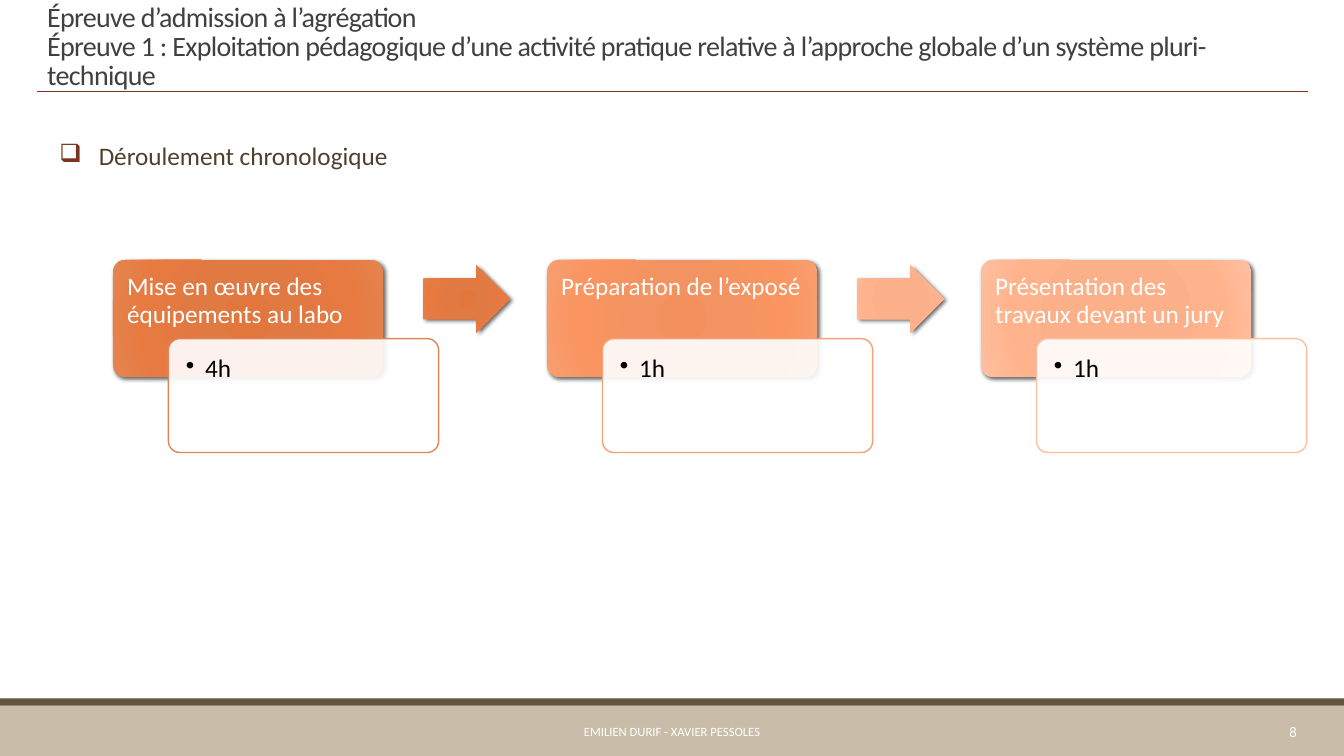
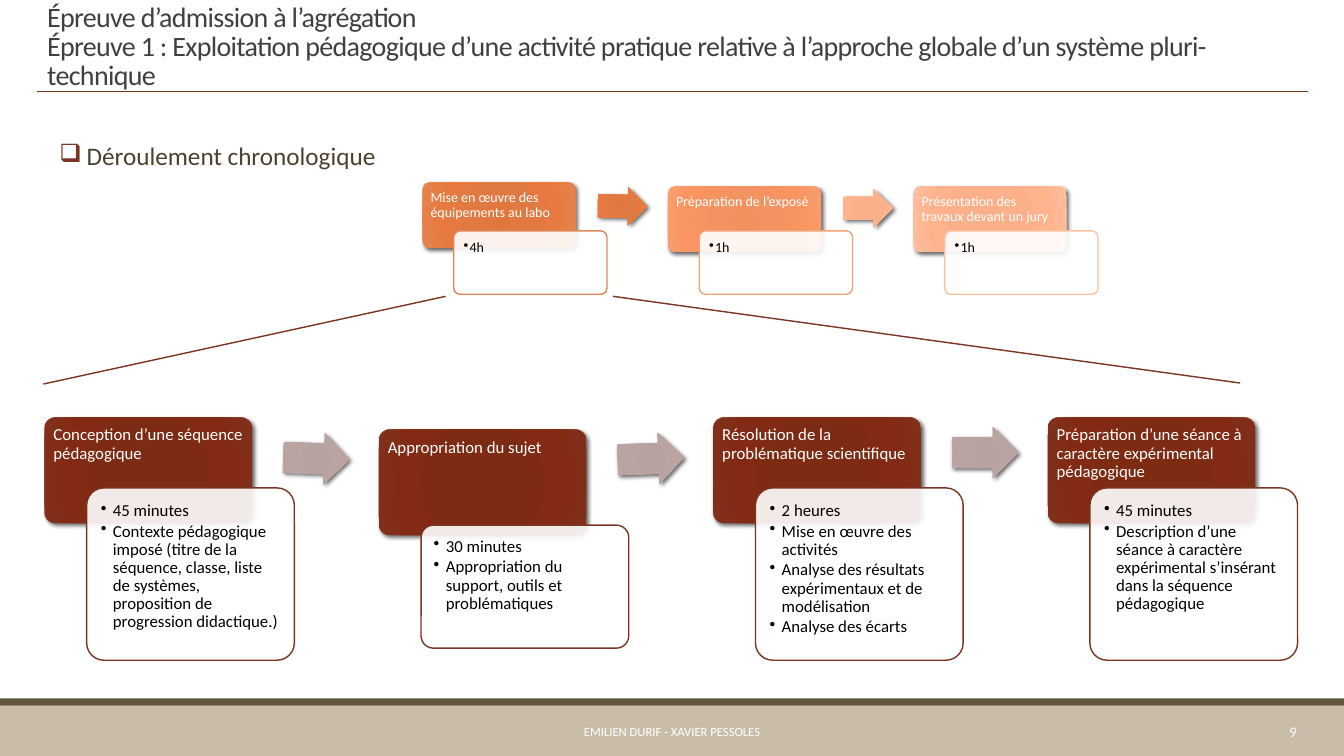
from math import atan2, degrees

from lxml.etree import SubElement
from pptx import Presentation
from pptx.dml.color import RGBColor
from pptx.enum.shapes import MSO_CONNECTOR, MSO_SHAPE
from pptx.enum.text import MSO_ANCHOR, PP_ALIGN
from pptx.oxml.ns import qn
from pptx.util import Inches, Pt

FONT = "Calibri"
WHITE = RGBColor(0xFF, 0xFF, 0xFF)
BLACK = RGBColor(0, 0, 0)
TITLE_GREY = RGBColor(0x40, 0x40, 0x40)
TEXT_BROWN = RGBColor(0x4D, 0x40, 0x2D)
BAND_BEIGE = RGBColor(0xC9, 0xBD, 0xA9)
BAND_BROWN = RGBColor(0x62, 0x55, 0x3E)
RUST = RGBColor(0x7B, 0x34, 0x21)
ORANGE_EDGE = RGBColor(0xDE, 0x86, 0x57)
CORAL_EDGE = RGBColor(0xF3, 0xA1, 0x77)
PEACH_EDGE = RGBColor(0xFF, 0xBF, 0x9F)


def shades(*codes):
    return [RGBColor.from_string(code) for code in codes]


ORANGE = shades("E2773E", "E17942", "E77A40", "E58450")
CORAL = shades("F4905D", "F39361", "FA9460", "F99F70")
PEACH = shades("FBAD87", "FBB08A", "FFB38C", "FFBF9F")
DARK_RUST = shades("7F2912", "7E2B14", "822A13", "80311C")
MAUVE = shades("B4A09E", "B6A2A0", "B9A4A2", "C0ADAB")
STOPS = (0, 34, 70, 100)

TITLE = ("Épreuve d’admission à l’agrégation\vÉpreuve 1 : Exploitation pédagogique "
         "d’une activité pratique relative à l’approche globale d’un système pluri-technique")
HEADING = "Déroulement chronologique"
AUTHORS = "EMILIEN DURIF - XAVIER PESSOLES"

EXAM_STEPS = [
    ("Mise en œuvre des équipements au labo", ["4h"], ORANGE, ORANGE_EDGE),
    ("Préparation de l’exposé", ["1h"], CORAL, CORAL_EDGE),
    ("Présentation des travaux devant un jury", ["1h"], PEACH, PEACH_EDGE),
]
LAB_STEPS = [
    (head, details, DARK_RUST, RUST) for head, details in [
        ("Conception d’une séquence pédagogique",
         ["45 minutes",
          "Contexte pédagogique imposé (titre de la séquence, classe, liste de systèmes, "
          "proposition de progression didactique.)"]),
        ("Appropriation du sujet",
         ["30 minutes", "Appropriation du support, outils et problématiques"]),
        ("Résolution de la problématique scientifique",
         ["2 heures", "Mise en œuvre des activités",
          "Analyse des résultats expérimentaux et de modélisation", "Analyse des écarts"]),
        ("Préparation d’une séance à caractère expérimental pédagogique",
         ["45 minutes",
          "Description d’une séance à caractère expérimental s’insérant dans la séquence "
          "pédagogique"]),
    ]
]

# head_tops and details (top, height) hold one entry per step
LARGE_EXAM = dict(
    steps=EXAM_STEPS, arrows=[ORANGE, PEACH], first=1.12, last=9.73,
    width=2.68, head_height=1.16, head_tops=[2.58] * 3, details=[(3.36, 1.13)] * 3,
    shift=0.55, arrow_gap=0.4, arrow=(0.86, 0.67), size=18, pad=0.14, indent=0.19)
SMALL_EXAM = dict(
    steps=EXAM_STEPS, arrows=[ORANGE, PEACH], first=4.19, last=9.06,
    width=1.52, head_height=0.65, head_tops=[1.81, 1.85, 1.85], details=[(2.29, 0.63)] * 3,
    shift=0.31, arrow_gap=0.22, arrow=(0.49, 0.38), size=10, pad=0.08, indent=0.06)
LAB = dict(
    steps=LAB_STEPS, arrows=[MAUVE] * 3, first=0.44, last=10.39,
    width=2.06, head_height=1.05, head_tops=[4.14, 4.26, 4.14, 4.14],
    details=[(4.84, 1.71), (5.21, 1.22), (4.84, 1.71), (4.84, 1.71)],
    shift=0.42, arrow_gap=0.31, arrow=(0.66, 0.51), size=12, pad=0.09, indent=0.12)
ZOOM_LINES = [((4.42, 2.94), (0.43, 3.81)), ((6.08, 2.94), (12.3, 3.8))]

SLIDES = [
    dict(number="8", heading_indent=0.61, flows=[LARGE_EXAM], lines=[]),
    dict(number="9", heading_indent=0.49, flows=[SMALL_EXAM, LAB], lines=ZOOM_LINES),
]


def write(shape, lines, size, color, align=PP_ALIGN.LEFT, anchor=MSO_ANCHOR.TOP,
          insets=(0.1, 0.05, 0.1, 0.05), spacing=None, after=0):
    frame = shape.text_frame
    frame.word_wrap = True
    frame.vertical_anchor = anchor
    (frame.margin_left, frame.margin_top,
     frame.margin_right, frame.margin_bottom) = map(Inches, insets)
    frame.text = "\n".join(lines)
    for paragraph in frame.paragraphs:
        paragraph.alignment = align
        paragraph.line_spacing = spacing
        paragraph.space_after = Pt(after)
        for run in paragraph.runs:
            run.font.name = FONT
            run.font.size = Pt(size)
            run.font.color.rgb = color
    return frame.paragraphs


def add_text(slide, box, lines, size, color, **style):
    label = slide.shapes.add_textbox(*map(Inches, box))
    return write(label, lines, size, color, **style)


def add_bullet(paragraph, mark, left, hanging, color=None):
    properties = paragraph._p.get_or_add_pPr()
    properties.set("marL", str(Inches(left)))
    properties.set("indent", str(-Inches(hanging)))
    if color is not None:
        holder = SubElement(properties, qn("a:buClr"))
        SubElement(holder, qn("a:srgbClr"), val=str(color))
    SubElement(properties, qn("a:buChar"), char=mark)


def add_panel(slide, kind, box, color=None):
    panel = slide.shapes.add_shape(kind, *map(Inches, box))
    panel.shadow.inherit = False
    panel.line.fill.background()
    if color is not None:
        panel.fill.solid()
        panel.fill.fore_color.rgb = color
    return panel


def add_glossy(slide, kind, box, colors):
    glossy = add_panel(slide, kind, box)
    glossy.fill.gradient()
    gradient = glossy._element.spPr.find(qn("a:gradFill"))
    for child in list(gradient):
        gradient.remove(child)
    stops = SubElement(gradient, qn("a:gsLst"))
    for position, color in zip(STOPS, colors):
        stop = SubElement(stops, qn("a:gs"), pos=str(position * 1000))
        SubElement(stop, qn("a:srgbClr"), val=str(color))
    circle = SubElement(gradient, qn("a:path"), {"path": "circle"})
    SubElement(circle, qn("a:fillToRect"), {side: "100000" for side in "ltrb"})
    effects = glossy._element.spPr.find(qn("a:effectLst"))
    shadow = SubElement(effects, qn("a:outerShdw"), blurRad=str(Pt(3)), dist=str(Pt(2)),
                        dir="2700000", algn="tl", rotWithShape="0")
    tint = SubElement(shadow, qn("a:srgbClr"), val=str(BLACK))
    SubElement(tint, qn("a:alpha"), val="60000")
    return glossy


def add_line(slide, start, end, weight):
    line = slide.shapes.add_connector(MSO_CONNECTOR.STRAIGHT, *map(Inches, start + end))
    line.line.color.rgb = RUST
    line.line.width = Pt(weight)
    SubElement(line._element.spPr, qn("a:effectLst"))


def add_frame(slide, number, heading_indent):
    add_panel(slide, MSO_SHAPE.RECTANGLE, (0, 7, 13.33, 0.5), BAND_BEIGE)
    add_panel(slide, MSO_SHAPE.RECTANGLE, (0, 6.93, 13.33, 0.07), BAND_BROWN)
    add_line(slide, (0.37, 0.91), (12.97, 0.91), 0.5)
    title = add_text(slide, (0.37, 0.04, 12.59, 0.87), [TITLE], 20, TITLE_GREY,
                     anchor=MSO_ANCHOR.MIDDLE, spacing=0.85)
    for run in title[0].runs:
        run.font._element.set("spc", "-50")
    heading = add_text(slide, (0.37, 1.38, 12.44, 0.4), [HEADING], 18, TEXT_BROWN,
                       insets=(0, 0.05, 0, 0.05), spacing=0.9)
    add_bullet(heading[0], "❑", heading_indent, heading_indent - 0.22, RUST)
    add_text(slide, (2.73, 7.06, 7.87, 0.4), [AUTHORS], 9, WHITE,
             align=PP_ALIGN.CENTER, anchor=MSO_ANCHOR.MIDDLE)
    add_text(slide, (11.39, 7.06, 1.57, 0.4), [number], 10.5, WHITE,
             align=PP_ALIGN.RIGHT, anchor=MSO_ANCHOR.MIDDLE)


def add_flow(slide, steps, arrows, first, last, width, head_height, head_tops, details,
             shift, arrow_gap, arrow, size, pad, indent):
    pitch = (last - first) / (len(steps) - 1)
    corner = 0.1 * 0.29 * head_height
    arrow_width, arrow_height = arrow
    for index, (name, points, colors, edge) in enumerate(steps):
        left, top = first + index * pitch, head_tops[index]
        head = add_glossy(slide, MSO_SHAPE.ROUNDED_RECTANGLE,
                          (left, top, width, head_height), colors)
        head.adjustments[0] = 0.1
        write(head, [name], size, WHITE, insets=[pad - corner] * 3 + [0], spacing=0.9)

        detail_top, detail_height = details[index]
        detail = add_panel(slide, MSO_SHAPE.ROUNDED_RECTANGLE,
                           (left + shift, detail_top, width, detail_height), WHITE)
        detail.adjustments[0] = 0.1
        fill_color = detail._element.spPr.find(qn("a:solidFill"))[0]
        SubElement(fill_color, qn("a:alpha"), val="90000")
        detail.line.color.rgb = edge
        detail.line.width = Pt(1)
        for paragraph in write(detail, points, size, BLACK, insets=[pad] * 4,
                               spacing=0.9, after=size * 0.15):
            add_bullet(paragraph, "•", indent, indent)

        if index < len(arrows):
            next_top = head_tops[index + 1]
            arrow_top = (top + next_top) / 2 + head_height / 3 - arrow_height / 2
            link = add_glossy(slide, MSO_SHAPE.RIGHT_ARROW,
                              (left + width + arrow_gap, arrow_top, arrow_width, arrow_height),
                              arrows[index])
            link.adjustments[0] = 0.6
            link.adjustments[1] = 0.5
            link.rotation = degrees(atan2(next_top - top, pitch))


def main():
    deck = Presentation()
    deck.slide_width, deck.slide_height = Inches(13.33), Inches(7.5)
    for content in SLIDES:
        slide = deck.slides.add_slide(deck.slide_layouts[6])
        add_frame(slide, content["number"], content["heading_indent"])
        for flow in content["flows"]:
            add_flow(slide, **flow)
        for start, end in content["lines"]:
            add_line(slide, start, end, 1)
    deck.save("out.pptx")


if __name__ == "__main__":
    main()
